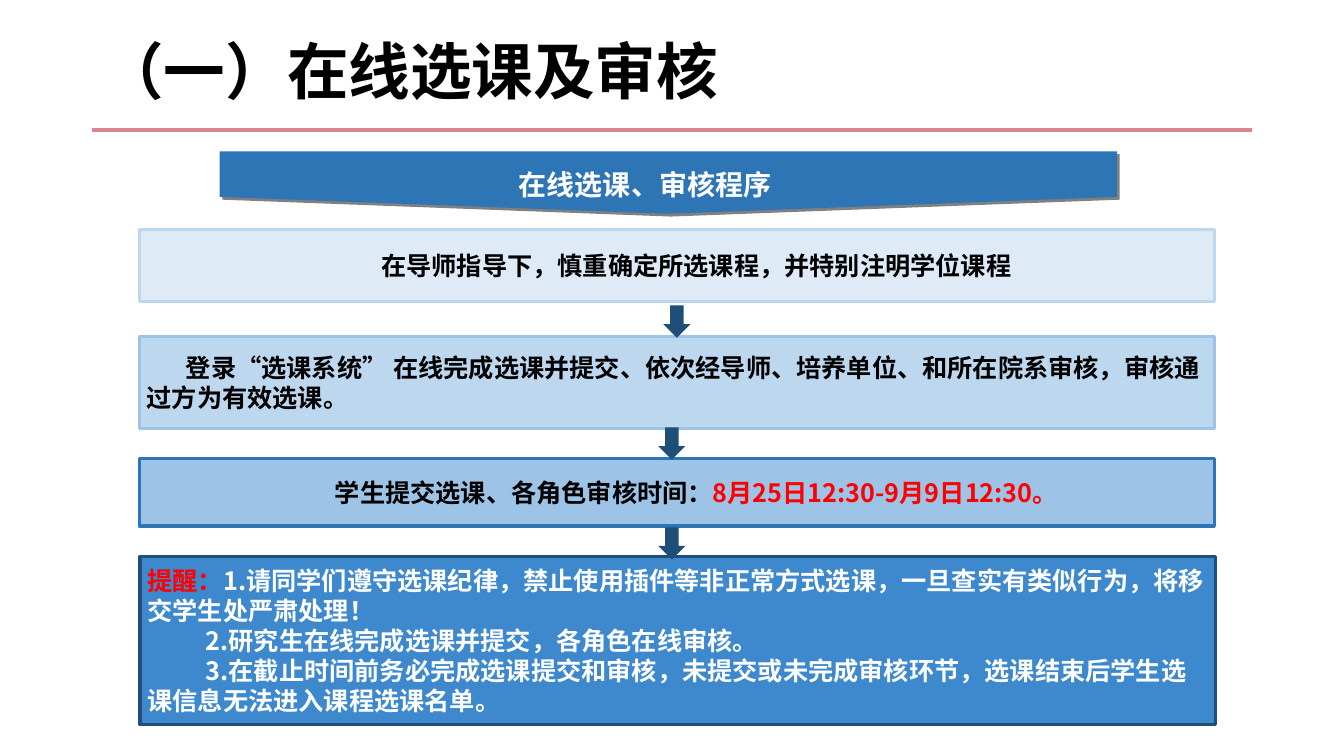
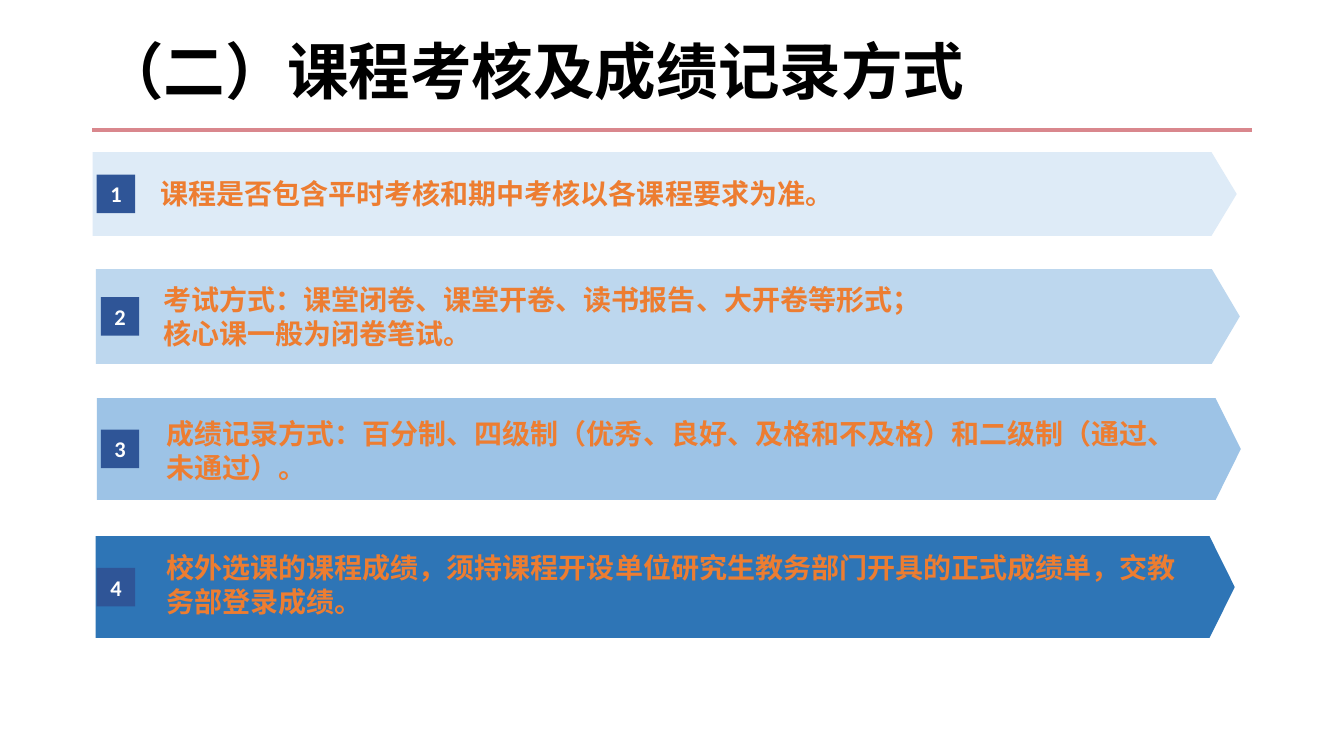
from dataclasses import dataclass

from lxml.etree import SubElement
from pptx import Presentation
from pptx.dml.color import RGBColor
from pptx.enum.shapes import MSO_CONNECTOR, MSO_SHAPE
from pptx.enum.text import MSO_ANCHOR, PP_ALIGN
from pptx.oxml.ns import qn
from pptx.util import Pt

CJK_FONT = "Noto Sans CJK SC"
BLACK = RGBColor(0x00, 0x00, 0x00)
WHITE = RGBColor(0xFF, 0xFF, 0xFF)
RED = RGBColor(0xFF, 0x00, 0x00)
ORANGE = RGBColor(0xED, 0x7D, 0x31)
ROSE = RGBColor(0xD9, 0x87, 0x8D)
PALE_BLUE = RGBColor(0xDE, 0xEB, 0xF7)
LIGHT_BLUE = RGBColor(0xBD, 0xD7, 0xEE)
SOFT_BLUE = RGBColor(0x9D, 0xC3, 0xE6)
MID_BLUE = RGBColor(0x3E, 0x89, 0xCE)
STRONG_BLUE = RGBColor(0x2E, 0x75, 0xB6)
DARK_BLUE = RGBColor(0x1F, 0x4E, 0x79)
BADGE_BLUE = RGBColor(0x2F, 0x55, 0x97)

RULE_LEFT, RULE_RIGHT, RULE_TOP = 66, 894, 93
BADGE_SIZE = 27.5


@dataclass
class Step:
    left: float
    top: float
    height: float
    fill: RGBColor
    border: RGBColor
    paragraphs: list
    align: PP_ALIGN = PP_ALIGN.LEFT
    indents: tuple = (28,)


@dataclass
class Band:
    left: float
    top: float
    width: float
    height: float
    point: float
    fill: RGBColor
    badge_left: float
    text_left: float
    text_middle: float
    text_width: float
    lines: list


STEPS = [
    Step(99.4, 164.2, 51.1, PALE_BLUE, LIGHT_BLUE,
         [[("在导师指导下，慎重确定所选课程，并特别注明学位课程", BLACK)]],
         PP_ALIGN.CENTER),
    Step(99.4, 240.5, 65.5, LIGHT_BLUE, SOFT_BLUE,
         [[("登录“选课系统” 在线完成选课并提交、依次经导师、培养单位、和所在院系审核，"
            "审核通过方为有效选课。", BLACK)]]),
    Step(99.4, 327.6, 48.2, SOFT_BLUE, STRONG_BLUE,
         [[("学生提交选课、各角色审核时间：", BLACK),
           ("8月25日12:30-9月9日12:30。", RED)]],
         PP_ALIGN.CENTER),
    Step(100, 397.4, 120.2, MID_BLUE, DARK_BLUE,
         [[("提醒：", RED),
           ("1.请同学们遵守选课纪律，禁止使用插件等非正常方式选课，一旦查实有类似行为，"
            "将移交学生处严肃处理！", WHITE)],
          [("2.研究生在线完成选课并提交，各角色在线审核。", WHITE)],
          [("3.在截止时间前务必完成选课提交和审核，未提交或未完成审核环节，"
            "选课结束后学生选课信息无法进入课程选课名单。", WHITE)]],
         indents=(0, 41.5, 41.5)),
]
STEP_ARROWS = [(473.8, 218.2), (470.2, 305.3), (470.2, 376.6)]

BANDS = [
    Band(66.2, 108.7, 817.2, 59.8, 18, PALE_BLUE, 69.1, 114.5, 137.9, 728,
         ["课程是否包含平时考核和期中考核以各课程要求为准。"]),
    Band(68.4, 192.2, 817.2, 67.7, 20, LIGHT_BLUE, 72, 116.6, 225.7, 700,
         ["考试方式：课堂闭卷、课堂开卷、读书报告、大开卷等形式；",
          "核心课一般为闭卷笔试。"]),
    Band(69.1, 284.4, 817.2, 72.7, 18, SOFT_BLUE, 72, 118.8, 321.5, 736,
         ["成绩记录方式：百分制、四级制（优秀、良好、及格和不及格）"
          "和二级制（通过、未通过）。"]),
    Band(68.4, 383, 813.6, 72.7, 18, STRONG_BLUE, 69.1, 118.8, 417.2, 730,
         ["校外选课的课程成绩，须持课程开设单位研究生教务部门开具的正式成绩单，"
          "交教务部登录成绩。"]),
]


def add_span(para, text, size, color, font=CJK_FONT):
    span = para.add_run()
    span.text = text
    span.font.name = font
    span.font.size = Pt(size)
    span.font.bold = True
    span.font.color.rgb = color
    SubElement(span.font._element, qn("a:ea")).set("typeface", CJK_FONT)


def fill_text(box, paragraphs, size, font=CJK_FONT, align=PP_ALIGN.LEFT,
              indents=(), margins=None, anchor=MSO_ANCHOR.MIDDLE):
    """Write paragraphs, each a list of (text, colour), into a shape."""
    frame = box.text_frame
    frame.word_wrap = True
    frame.vertical_anchor = anchor
    if margins is not None:
        frame.margin_left = frame.margin_right = Pt(margins[0])
        frame.margin_top = frame.margin_bottom = Pt(margins[1])
    for index, spans in enumerate(paragraphs):
        para = frame.add_paragraph() if index else frame.paragraphs[0]
        para.alignment = align
        if index < len(indents):
            para._p.get_or_add_pPr().set("indent", str(Pt(indents[index])))
        for text, color in spans:
            add_span(para, text, size, color, font)


def add_text(page, left, top, width, height, *content, **style):
    box = page.shapes.add_textbox(Pt(left), Pt(top), Pt(width), Pt(height))
    fill_text(box, *content, **style)
    return box


def add_block(page, kind, left, top, width, height, fill, border=None):
    block = page.shapes.add_shape(kind, Pt(left), Pt(top), Pt(width), Pt(height))
    block.shadow.inherit = False
    block.fill.solid()
    block.fill.fore_color.rgb = fill
    if border is None:
        block.line.fill.background()
    else:
        block.line.color.rgb = border
        block.line.width = Pt(2.25)
    return block


def add_hard_shadow(block):
    effects = block._element.spPr.find(qn("a:effectLst"))
    shadow = SubElement(effects, qn("a:outerShdw"), dist=str(Pt(2.8)),
                        dir="2700000", algn="ctr", rotWithShape="0")
    SubElement(shadow, qn("a:srgbClr"), val="808080")


def add_page(deck, title):
    """Add a blank slide with the shared title and the rule below it."""
    page = deck.slides.add_slide(deck.slide_layouts[6])
    rule = page.shapes.add_connector(MSO_CONNECTOR.STRAIGHT, Pt(RULE_LEFT),
                                     Pt(RULE_TOP), Pt(RULE_RIGHT), Pt(RULE_TOP))
    rule.line.color.rgb = ROSE
    rule.line.width = Pt(3)
    SubElement(rule._element.spPr, qn("a:effectLst"))
    box = add_text(page, RULE_LEFT, 13.7, RULE_RIGHT - RULE_LEFT, 79.2,
                   [[(title, BLACK)]], 44, font="Arial")
    box.text_frame.paragraphs[0].line_spacing = 0.9
    return page


def add_heading_banner(page, text):
    banner = add_block(page, MSO_SHAPE.PENTAGON, 455, -190, 44.6, 640.8, STRONG_BLUE)
    banner.rotation = 90
    banner.adjustments[0] = 0.27
    add_hard_shadow(banner)
    add_text(page, 317.5, 115.9, 286.6, 31.7, [[(text, WHITE)]], 20,
             align=PP_ALIGN.CENTER, anchor=MSO_ANCHOR.TOP)


def add_step(page, step):
    block = add_block(page, MSO_SHAPE.RECTANGLE, step.left, step.top, 768,
                      step.height, step.fill, step.border)
    fill_text(block, step.paragraphs, 18, align=step.align,
              indents=step.indents, margins=(5.4, 2.7))


def add_band(page, number, band):
    plate = add_block(page, MSO_SHAPE.PENTAGON, band.left, band.top, band.width,
                      band.height, band.fill)
    plate.adjustments[0] = band.point / band.height
    text_height = 24 * max(2, len(band.lines))
    add_text(page, band.text_left, band.text_middle - text_height / 2,
             band.text_width, text_height,
             [[(line, ORANGE)] for line in band.lines], 20, margins=(0, 0))
    badge_top = band.top + (band.height - BADGE_SIZE) / 2
    badge = add_block(page, MSO_SHAPE.RECTANGLE, band.badge_left, badge_top,
                      BADGE_SIZE, BADGE_SIZE, BADGE_BLUE)
    fill_text(badge, [[(str(number), WHITE)]], 16, font="Calibri",
              align=PP_ALIGN.CENTER, margins=(0, 0))


def main():
    deck = Presentation()
    deck.slide_width, deck.slide_height = Pt(960), Pt(540)

    page = add_page(deck, "（一）在线选课及审核")
    add_heading_banner(page, "在线选课、审核程序")
    for step in STEPS:
        add_step(page, step)
    for left, top in STEP_ARROWS:
        add_block(page, MSO_SHAPE.DOWN_ARROW, left, top, 19.4, 23, DARK_BLUE)

    page = add_page(deck, "（二）课程考核及成绩记录方式")
    for number, band in enumerate(BANDS, start=1):
        add_band(page, number, band)

    deck.save("out.pptx")


if __name__ == "__main__":
    main()
